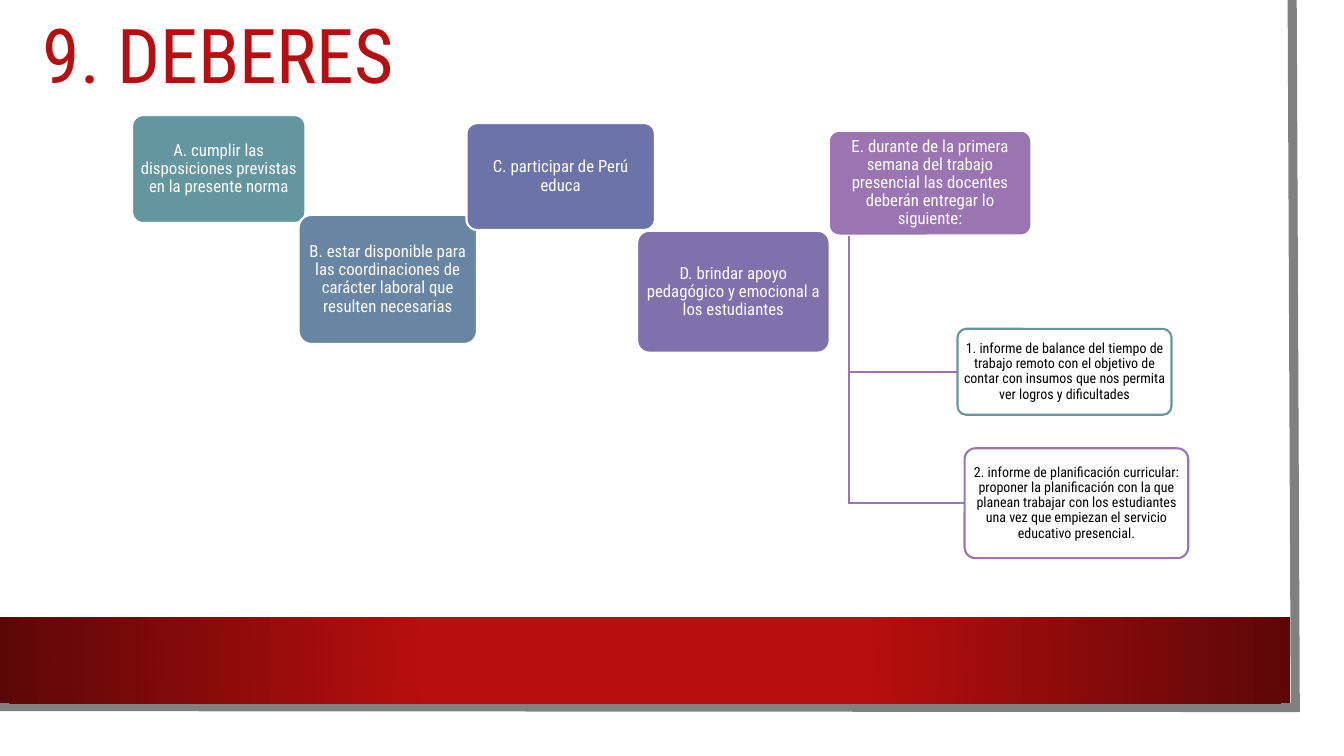
from lxml import etree
from pptx import Presentation
from pptx import util as u
from pptx.dml.color import RGBColor
from pptx.enum import shapes, text
from pptx.oxml import ns

FONT = "Roboto Condensed"
RED, WHITE, TEAL, PLUM = "B80E0F", "FFFFFF", "64969F", "9B75B2"

DUTIES = [
    ("A. cumplir las disposiciones previstas en la presente norma",
     (94.4, 82.3, 123.8, 77), TEAL),
    ("B. estar disponible para las coordinaciones de carácter laboral que resulten necesarias",
     (213.3, 153.5, 127.4, 92.2), "6885A4"),
    ("C. participar de Perú educa",
     (333.2, 88, 134.6, 76.3), "6C73A9"),
    ("D. brindar apoyo pedagógico y emocional a los estudiantes",
     (455.1, 164.8, 137.5, 87.1), "8071AD"),
    ("E. durante de la primera semana del trabajo presencial las docentes deberán entregar lo siguiente:",
     (592, 93.4, 144.7, 74.9), PLUM),
]
REPORTS = [
    ("1. informe de balance del tiempo de trabajo remoto con el objetivo de contar con insumos "
     "que nos permita ver logros y dificultades",
     (684, 234.9, 152.8, 61.4), TEAL),
    ("2. informe de planificación curricular: proponer la planificación con la que planean trabajar "
     "con los estudiantes una vez que empiezan el servicio educativo presencial.",
     (689, 320.2, 159.8, 78.5), PLUM),
]
TRUNK = (606.5, 168.4)


def rgb(code):
    return RGBColor.from_string(code)


def write(shape, words, size, color, align=text.PP_ALIGN.CENTER,
          anchor=text.MSO_ANCHOR.MIDDLE, pad=(2.2, 1.5), space=0.9):
    frame = shape.text_frame
    frame.word_wrap = True
    frame.auto_size = text.MSO_AUTO_SIZE.NONE
    frame.vertical_anchor = anchor
    frame.margin_left = frame.margin_right = u.Pt(pad[0])
    frame.margin_top = frame.margin_bottom = u.Pt(pad[1])
    para = frame.paragraphs[0]
    para.alignment = align
    para.line_spacing = space
    run = para.add_run()
    run.text = words
    run.font.name = FONT
    run.font.size = u.Pt(size)
    run.font.color.rgb = rgb(color)


def block(slide, kind, area, fill, line=None):
    shape = slide.shapes.add_shape(kind, *map(u.Pt, area))
    shape.shadow.inherit = False
    shape.fill.solid()
    shape.fill.fore_color.rgb = rgb(fill)
    if line:
        shape.line.color.rgb = rgb(line)
        shape.line.width = u.Pt(1.5)
    else:
        shape.line.fill.background()
    return shape


def card(slide, words, area, fill, line, size, color, pad):
    shape = block(slide, shapes.MSO_SHAPE.ROUNDED_RECTANGLE, area, fill, line)
    shape.adjustments[0] = 0.1
    write(shape, words, size, color, pad=pad)
    return shape


def fade(shape, percent):
    tint = shape.element.spPr.find(ns.qn("a:solidFill"))[0]
    etree.SubElement(tint, ns.qn("a:alpha")).set("val", str(percent * 1000))


def trace(slide, points, color, width):
    spots = [tuple(map(u.Pt, point)) for point in points]
    build = slide.shapes.build_freeform(*spots[0], scale=1.0)
    build.add_line_segments(spots[1:], close=False)
    shape = build.convert_to_shape()
    shape.shadow.inherit = False
    shape.fill.background()
    shape.line.color.rgb = rgb(color)
    shape.line.width = u.Pt(width)
    edge = shape.element.spPr.find(ns.qn("a:ln"))
    etree.SubElement(edge, ns.qn("a:miter"), lim="800000")


def glow(shape, inner, outer):
    shape.fill.gradient()
    for stop, color, place in zip(shape.fill.gradient_stops, (inner, outer), (0.34, 1)):
        stop.color.rgb = rgb(color)
        stop.position = place
    grad = shape.element.spPr.find(ns.qn("a:gradFill"))
    grad.remove(grad.find(ns.qn("a:lin")))
    route = etree.SubElement(grad, ns.qn("a:path"), path="circle")
    etree.SubElement(route, ns.qn("a:fillToRect"), l="50000", t="50000", r="50000", b="50000")


def frame(slide):
    rect = shapes.MSO_SHAPE.RECTANGLE
    block(slide, rect, (0, 0, 943.2, 523.4), WHITE)
    trace(slide, [(923, 0), (925.2, 505.4), (-2.2, 504.7)], "808080", 6.5)
    glow(block(slide, rect, (0, 441, 921.6, 61.2), RED), RED, "5C0707")


def head(slide, words):
    title = slide.shapes.title
    title.left, title.top, title.width, title.height = map(u.Pt, (23.5, 2.2, 302.4, 72.7))
    write(title, words, 54, RED, align=text.PP_ALIGN.LEFT,
          anchor=text.MSO_ANCHOR.TOP, pad=(7.2, 3.6), space=1.0)
    title.element.getparent().append(title.element)


def main():
    deck = Presentation()
    deck.slide_width, deck.slide_height = u.Pt(960), u.Pt(540)
    slide = deck.slides.add_slide(deck.slide_layouts[5])
    frame(slide)
    for words, area, color in DUTIES:
        card(slide, words, area, color, WHITE, 12, WHITE, (2.2, 1.5))
    for words, area, color in REPORTS:
        left, top, _, high = area
        mid = top + high / 2
        trace(slide, [TRUNK, (TRUNK[0], mid), (left, mid)], PLUM, 1.5)
        fade(card(slide, words, area, WHITE, color, 10, "000000", (1.5, 1)), 90)
    head(slide, "9. DEBERES")
    deck.save("out.pptx")


if __name__ == "__main__":
    main()
